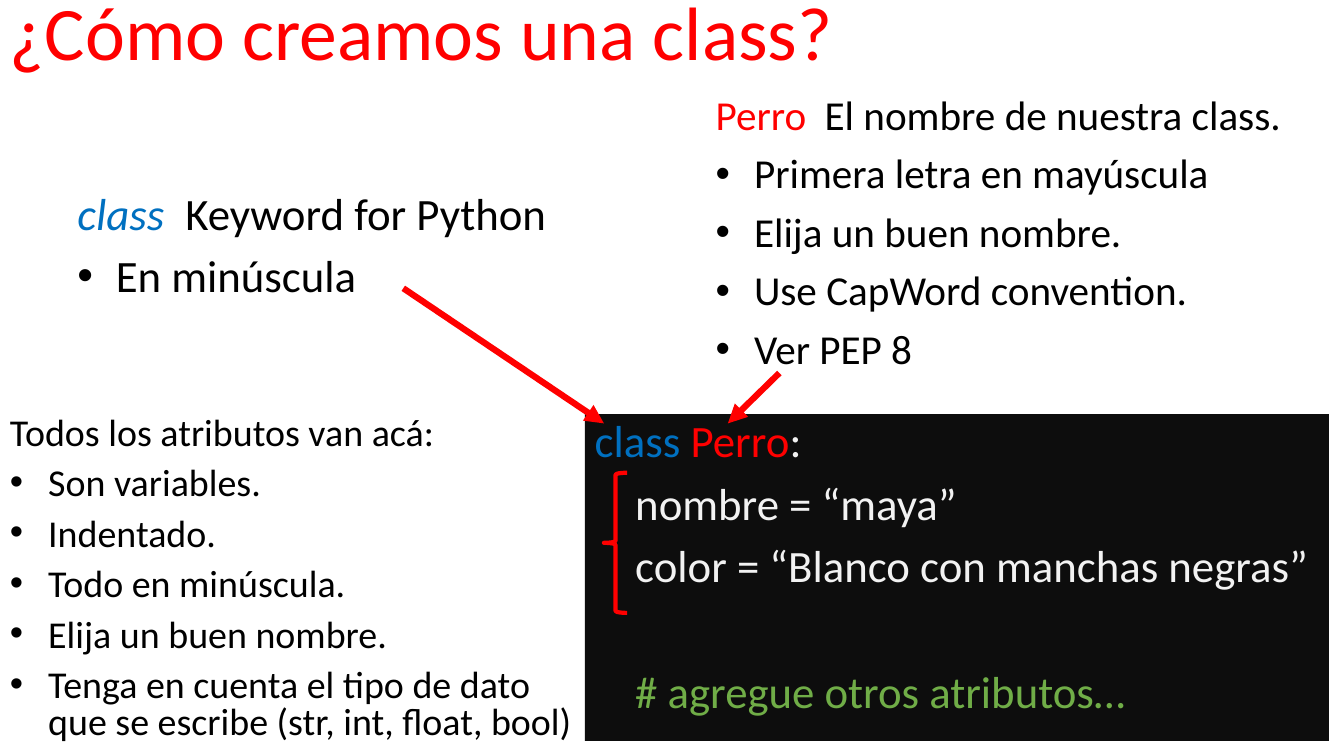
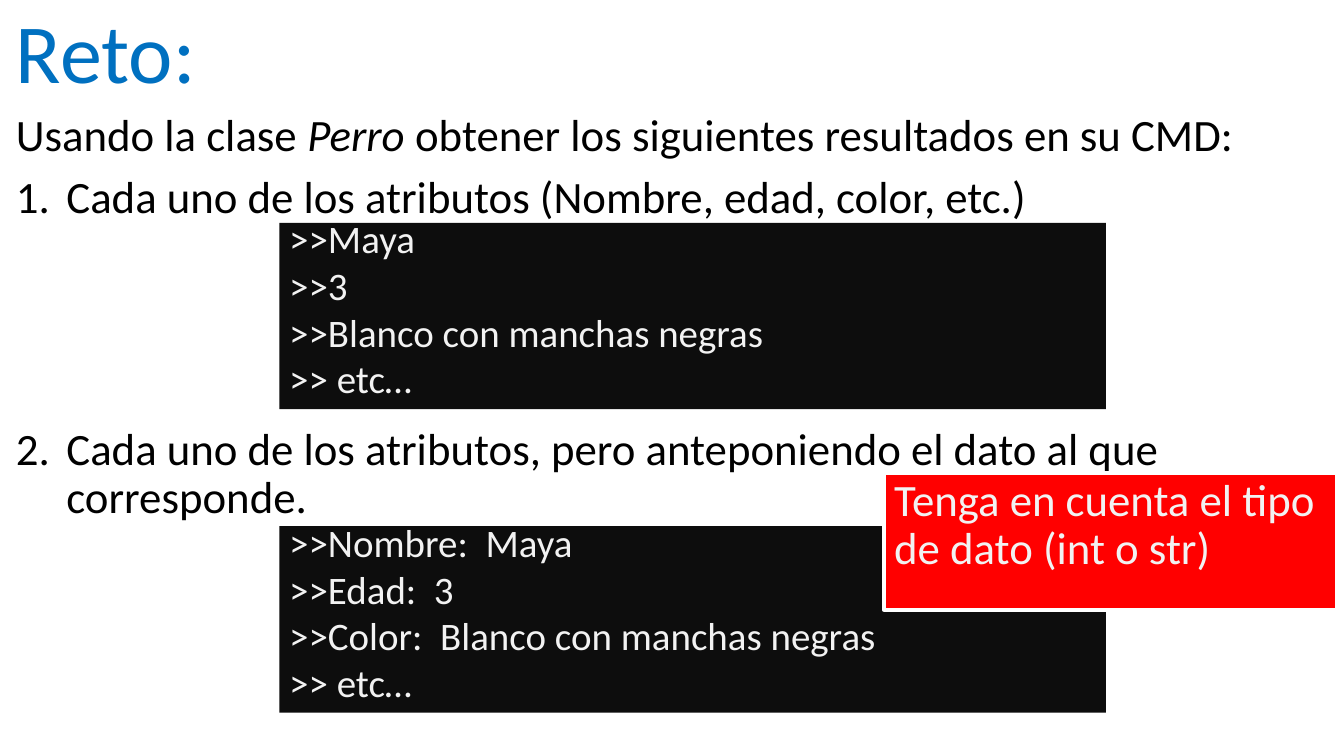
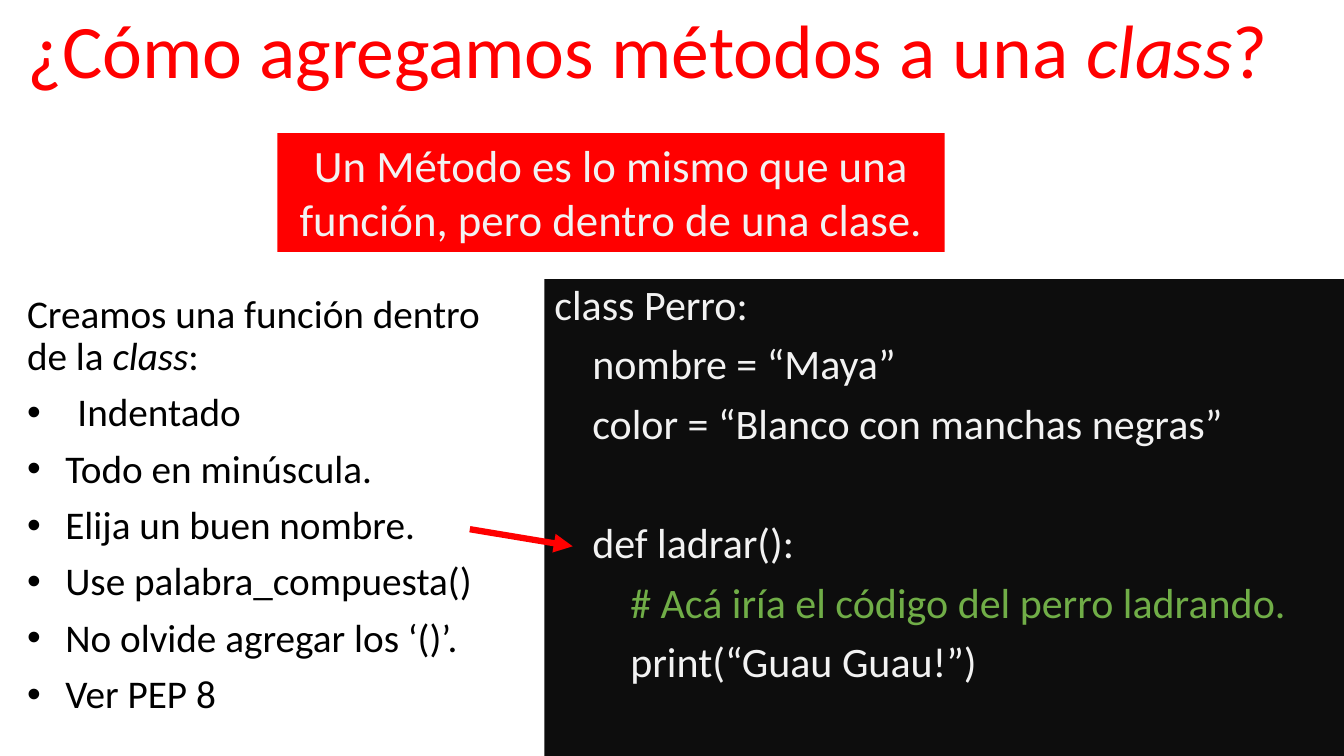
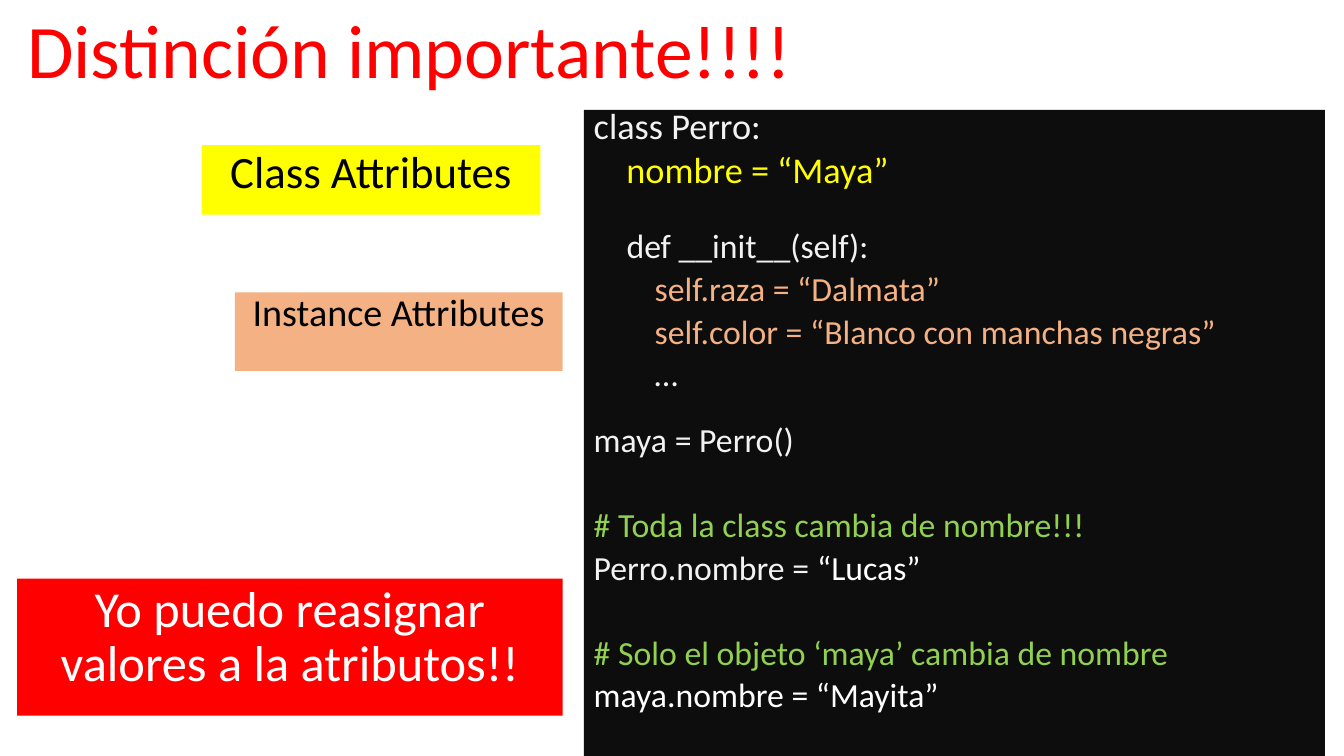
import dataclasses
import typing

import pptx
import pptx.dml.color
import pptx.enum.shapes
import pptx.enum.text
import pptx.oxml.ns
import pptx.util
from lxml import etree

Inches = pptx.util.Inches
Pt = pptx.util.Pt
SHAPE = pptx.enum.shapes.MSO_SHAPE
CENTER = pptx.enum.text.PP_ALIGN.CENTER


@dataclasses.dataclass(frozen=True)
class Theme:
    font: str = "Calibri"
    # Colours
    red: str = "FF0000"
    blue: str = "0070C0"
    black: str = "000000"
    white: str = "FFFFFF"
    console: str = "0D0D0D"
    console_text: str = "F2F2F2"
    comment: str = "70AD47"
    bright_comment: str = "92D050"
    yellow: str = "FFFF00"
    peach: str = "F4B183"
    # Type sizes
    title: float = 54
    big_title: float = 60
    callout: float = 36
    body: float = 32
    method_code: float = 30
    naming: float = 29.4
    method_notes: float = 28
    output: float = 27.8
    instance_tag: float = 27.2
    attribute_notes: float = 27.1
    class_line: float = 25.9
    long_code: float = 24.1
    # Spacing and lines, in points
    gap: float = 10
    arrow: float = 4.5
    outline: float = 3


THEME = Theme()


@dataclasses.dataclass
class Run:
    text: str
    color: typing.Optional[str] = None
    size: typing.Optional[float] = None
    italic: bool = False


@dataclasses.dataclass
class Line:
    runs: list
    color: typing.Optional[str] = None
    size: typing.Optional[float] = None
    gap: float = THEME.gap
    bullet: typing.Optional[str] = None  # "•" or "1."
    indent: float = 0.38
    tab: typing.Optional[float] = None


def rgb(color):
    return pptx.dml.color.RGBColor.from_string(color)


def add_child(parent, tag, **attributes):
    child = etree.SubElement(parent, pptx.oxml.ns.qn(tag))
    for name, value in attributes.items():
        child.set(name, str(value))
    return child


def bullets(*texts):
    return [Line([text], bullet="•") for text in texts]


# Text

def format_paragraph(paragraph, line):
    properties = paragraph._p.get_or_add_pPr()
    if line.bullet:
        properties.set("marL", str(Inches(line.indent)))
        properties.set("indent", str(-Inches(line.indent)))
        if line.bullet == "1.":
            add_child(properties, "a:buFont", typeface="+mj-lt")
            add_child(properties, "a:buAutoNum", type="arabicPeriod")
        else:
            add_child(properties, "a:buFont", typeface="Arial")
            add_child(properties, "a:buChar", char=line.bullet)
    if line.tab:
        tabs = add_child(properties, "a:tabLst")
        add_child(tabs, "a:tab", pos=Inches(line.tab), algn="l")


def write_text(frame, lines, size, color, spacing=0.9, align=None):
    frame.word_wrap = True
    for index, line in enumerate(lines):
        if isinstance(line, str):
            line = Line([line])
        paragraph = frame.paragraphs[0] if index == 0 else frame.add_paragraph()
        paragraph.alignment = align or pptx.enum.text.PP_ALIGN.LEFT
        paragraph.line_spacing = spacing
        paragraph.space_before = Pt(line.gap if index else 0)
        format_paragraph(paragraph, line)
        for part in line.runs:
            if isinstance(part, str):
                part = Run(part)
            run = paragraph.add_run()
            run.text = part.text
            run.font.name = THEME.font
            run.font.size = Pt(part.size or line.size or size)
            run.font.italic = part.italic
            run.font.color.rgb = rgb(part.color or line.color or color)


def add_text(slide, box, lines, size, color=THEME.black, spacing=0.9):
    frame = slide.shapes.add_textbox(*map(Inches, box)).text_frame
    write_text(frame, lines, size, color, spacing)
    return frame


def add_title(slide, left, top, width, runs, size=THEME.title, color=THEME.red):
    frame = add_text(slide, (left, top, width, 0.79), [Line(runs)], size, color)
    frame.vertical_anchor = pptx.enum.text.MSO_ANCHOR.BOTTOM


# Shapes

def add_panel(slide, box, fill, lines, size, color, spacing=0.9, align=None, outline=None):
    panel = slide.shapes.add_shape(SHAPE.RECTANGLE, *map(Inches, box))
    panel.shadow.inherit = False
    panel.fill.solid()
    panel.fill.fore_color.rgb = rgb(fill)
    if outline:
        panel.line.color.rgb = rgb(outline)
        panel.line.width = Pt(THEME.outline)
    else:
        panel.line.fill.background()
    panel.text_frame.vertical_anchor = pptx.enum.text.MSO_ANCHOR.TOP
    write_text(panel.text_frame, lines, size, color, spacing, align)


def add_console(slide, box, lines, size, spacing=0.9):
    add_panel(slide, box, THEME.console, lines, size, THEME.console_text, spacing)


def add_arrow(slide, start, end):
    arrow = slide.shapes.add_connector(
        pptx.enum.shapes.MSO_CONNECTOR.STRAIGHT, *map(Inches, start + end))
    arrow.line.color.rgb = rgb(THEME.red)
    arrow.line.width = Pt(THEME.arrow)
    add_child(arrow.line._get_or_add_ln(), "a:tailEnd", type="triangle")
    add_child(arrow._element.spPr, "a:effectLst")


def add_brace(slide, box):
    brace = slide.shapes.add_shape(SHAPE.LEFT_BRACE, *map(Inches, box))
    brace.shadow.inherit = False
    brace.fill.background()
    brace.line.color.rgb = rgb(THEME.red)
    brace.line.width = Pt(THEME.outline)


# Slides

def build_class_slide(slide):
    add_title(slide, 0, 0.02, 9, ["¿Cómo creamos una class?"])
    add_console(slide, (5.8, 4.11, 7.38, 3.24), [
        Line([Run("class ", THEME.blue), Run("Perro", THEME.red), ":"]),
        "    nombre = “maya”",
        "    color = “Blanco con manchas negras”",
        Line(["    # agregue otros atributos…"], THEME.comment, gap=55),
    ], THEME.body)
    add_arrow(slide, (4, 2.86), (5.99, 4.2))
    add_arrow(slide, (7.73, 3.7), (7.22, 4.2))
    add_text(slide, (0.67, 1.85, 5.45, 1.24), [
        Line([Run("class", THEME.blue, italic=True), "\tKeyword for Python"], tab=1.07),
        *bullets("En minúscula"),
    ], THEME.body)
    add_text(slide, (7, 0.89, 6.31, 3), [
        Line([Run("Perro", THEME.red), "\tEl nombre de nuestra class."], tab=1.08),
        *bullets("Primera letra en mayúscula", "Elija un buen nombre.",
                 "Use CapWord convention.", "Ver PEP 8"),
    ], THEME.naming)
    add_brace(slide, (5.99, 4.69, 0.23, 1.39))
    add_text(slide, (0, 4.09, 5.8, 3.68), [
        "Todos los atributos van acá:",
        *bullets("Son variables.", "Indentado.", "Todo en minúscula.",
                 "Elija un buen nombre.",
                 "Tenga en cuenta el tipo de dato que se escribe (str, int, float, bool)"),
    ], THEME.attribute_notes, spacing=0.8)


def build_challenge_slide(slide):
    add_text(slide, (0.06, 1.07, 12.49, 6.17), [
        Line(["Usando la clase ", Run("Perro ", italic=True),
              "obtener los siguientes resultados en su CMD:"]),
        Line(["Cada uno de los atributos (Nombre, edad, color, etc.)"],
             bullet="1.", indent=0.5),
        Line(["Cada uno de los atributos, pero anteponiendo el dato al que corresponde."],
             bullet="1.", indent=0.5, gap=145),
    ], THEME.body)
    add_title(slide, 0.06, 0.27, 7.42, ["Reto:"], THEME.big_title, THEME.blue)
    outputs = (
        (2.21, [">>Maya", ">>3", ">>Blanco con manchas negras", ">> etc…"]),
        (5.22, [">>Nombre:  Maya", ">>Edad:  3",
                ">>Color:  Blanco con manchas negras", ">> etc…"]),
    )
    for top, lines in outputs:
        add_console(slide, (2.77, top, 8.2, 1.85), lines, THEME.output, 0.7)
    add_panel(slide, (8.77, 4.69, 4.49, 1.36), THEME.red,
              ["Tenga en cuenta el tipo de dato (int o str)"],
              THEME.body, THEME.console_text, outline=THEME.white)


def build_methods_slide(slide):
    add_title(slide, 0.17, 0.2, 12.55, [
        "¿Cómo agregamos métodos a una ", Run("class", italic=True), "?"])
    add_console(slide, (5.4, 2.77, 7.94, 4.73), [
        "class Perro:",
        "    nombre = “Maya”",
        "    color = “Blanco con manchas negras”",
        Line(["    def ladrar():"], gap=53),
        Line(["        # Acá iría el código del perro ladrando."], THEME.comment),
        "        print(“Guau Guau!”)",
    ], THEME.method_code)
    add_arrow(slide, (4.66, 5.25), (5.68, 5.42))
    add_text(slide, (0.17, 2.87, 5.01, 4.45), [
        Line(["Creamos una función dentro de la ", Run("class", italic=True), ":"]),
        Line(["Indentado"], bullet="•", indent=0.5),
        *bullets("Todo en minúscula.", "Elija un buen nombre.",
                 "Use palabra_compuesta()", "No olvide agregar los ‘()’.",
                 "Ver PEP 8"),
    ], THEME.method_notes)
    add_panel(slide, (2.75, 1.32, 6.62, 1.18), THEME.red,
              ["Un Método es lo mismo que una función, pero dentro de una clase."],
              THEME.body, THEME.console_text, 1.0, CENTER)


def build_distinction_slide(slide):
    add_title(slide, 0.17, 0.2, 10.16, ["Distinción importante!!!!"])
    add_console(slide, (5.79, 1.09, 7.35, 6.41), [
        Line(["class Perro:"], size=THEME.class_line),
        Line(["    nombre = “Maya”"], THEME.yellow, THEME.class_line),
        Line([Run("    ", size=THEME.class_line), "def __init__(self):"], gap=32),
        Line(["        self.raza = “Dalmata”"], THEME.peach),
        Line(["        self.color = “Blanco con manchas negras”"], THEME.peach),
        "        …",
        Line(["maya = Perro()"], gap=27),
        Line(["# Toda la class cambia de nombre!!!"], THEME.bright_comment, gap=40.6),
        Line(["Perro.nombre = ", Run("“Lucas”", THEME.white)]),
        Line(["# Solo el objeto ‘maya’ cambia de nombre"], THEME.bright_comment, gap=40.6),
        Line(["maya.nombre = “Mayita”"], THEME.white),
    ], THEME.long_code, 0.7)
    # Colour-coded labels and the closing remark
    labels = (
        ((2, 1.44, 3.36, 0.69), THEME.yellow, "Class Attributes",
         THEME.body, THEME.black, 0.9),
        ((2.33, 2.9, 3.25, 0.78), THEME.peach, "Instance Attributes",
         THEME.instance_tag, THEME.black, 0.8),
        ((0.17, 5.74, 5.41, 1.36), THEME.red,
         "Yo puedo reasignar valores a la atributos!!",
         THEME.callout, THEME.white, 0.9),
    )
    for box, fill, text, size, color, spacing in labels:
        add_panel(slide, box, fill, [text], size, color, spacing, CENTER)


def main():
    deck = pptx.Presentation()
    deck.slide_width = Inches(13.33)
    deck.slide_height = Inches(7.5)
    blank = deck.slide_layouts[6]
    for build in (build_class_slide, build_challenge_slide,
                  build_methods_slide, build_distinction_slide):
        build(deck.slides.add_slide(blank))
    deck.save("out.pptx")


if __name__ == "__main__":
    main()
